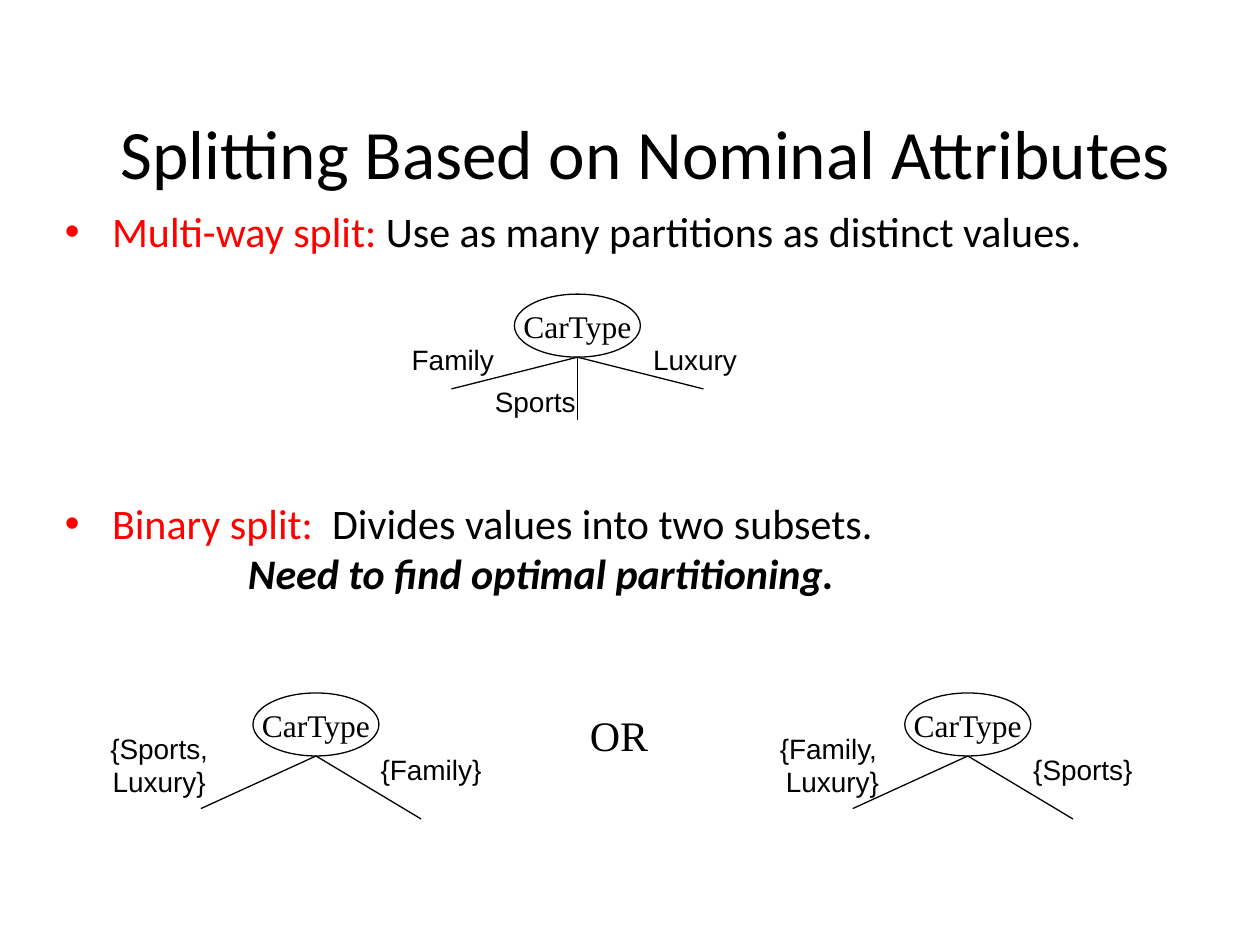
from pptx import Presentation
from pptx import util as u
from pptx.dml.color import RGBColor
from pptx.enum import shapes, text
from lxml import etree

COLORS = {"black": "000000", "red": "FF0000", "white": "FFFFFF"}
A = "{http://schemas.openxmlformats.org/drawingml/2006/main}"

prs = Presentation()
prs.slide_width, prs.slide_height = u.Cm(25.4), u.Cm(19.05)
s = prs.slides.add_slide(prs.slide_layouts[6])


def style(p, font, size, color="black"):
    for r in p.runs:
        r.font.name, r.font.size = font, u.Pt(size)
        r.font.color.rgb = RGBColor.from_string(COLORS[color])


def centered(sp, words, font, size, wrap=False):
    tf = sp.text_frame
    tf.text = words
    tf.word_wrap = wrap
    tf.vertical_anchor = text.MSO_ANCHOR.MIDDLE
    tf.paragraphs[0].alignment = text.PP_ALIGN.CENTER
    style(tf.paragraphs[0], font, size)


# Title
sp = s.shapes.add_textbox(u.Cm(1.06), u.Cm(2.33), u.Cm(23.92), u.Cm(1.48))
centered(sp, "Splitting Based on Nominal Attributes", "Calibri", 39.6, True)

# Bullets: term, explanation, space before in points
bullets = [
    ("Multi-way split:", " Use as many partitions as distinct values.", 0),
    ("Binary split:", "  Divides values into two subsets.", 138),
]
tf = s.shapes.add_textbox(u.Cm(1.06), u.Cm(4.02), u.Cm(23.28), u.Cm(10.37)).text_frame
tf.word_wrap = True
for i, (term, explanation, gap) in enumerate(bullets):
    p = tf.add_paragraph() if i else tf.paragraphs[0]
    p.text = term
    style(p, "Calibri", 24)
    p.add_run().text = explanation
    style(p, "Calibri", 24)
    p.runs[0].font.color.rgb = RGBColor.from_string(COLORS["red"])
    p.space_before = u.Pt(gap)
    pPr = p._p.get_or_add_pPr()
    pPr.set("marL", str(u.Cm(0.95)))
    pPr.set("indent", str(-u.Cm(0.95)))
    etree.SubElement(pPr, A + "buFont", typeface="Arial")
    etree.SubElement(pPr, A + "buChar", char="•")

# Remark under the second bullet
p = tf.add_paragraph()
p.text = "Need to find optimal partitioning."
style(p, "Calibri", 24)
p.runs[0].font.bold = p.runs[0].font.italic = True
p._p.get_or_add_pPr().set("marL", str(u.Cm(3.69)))

# Split trees: apex below the ellipse, branch ends and label centres relative to it
pair = [(-2.32, 1.06), (2.12, 1.27)]
trees = [
    (11.64, 7.2, [(-2.54, 0.64), (0, 1.27), (2.54, 0.64)],
     [("Family", -2.51, 0.05, 2.16, 0.94), ("Sports", -0.85, 0.89, 2.14, 0.94),
      ("Luxury", 2.37, 0.05, 2.2, 0.94)]),
    (19.51, 15.24, pair,
     [("{Family, \vLuxury}", -2.73, 0.18, 2.66, 1.63), ("{Sports}", 2.32, 0.27, 2.52, 0.94)]),
    (6.37, 15.24, pair,
     [("{Sports,\vLuxury}", -3.16, 0.18, 2.62, 1.63), ("{Family}", 2.32, 0.27, 2.54, 0.94)]),
]
for x, y, branches, labels in trees:
    tree = s.shapes.add_group_shape().shapes
    sp = tree.add_shape(shapes.MSO_SHAPE.OVAL, u.Cm(x - 1.27), u.Cm(y - 1.27), u.Cm(2.54), u.Cm(1.27))
    sp.shadow.inherit = False
    sp.fill.solid()
    sp.fill.fore_color.rgb = RGBColor.from_string(COLORS["white"])
    sp.line.color.rgb = RGBColor.from_string(COLORS["black"])
    sp.line.width = u.Pt(0.75)
    centered(sp, "CarType", "Times New Roman", 18)
    for dx, dy in branches:
        line = tree.add_connector(shapes.MSO_CONNECTOR.STRAIGHT, u.Cm(x), u.Cm(y), u.Cm(x + dx), u.Cm(y + dy))
        line.line.color.rgb = RGBColor.from_string(COLORS["black"])
        line.line.width = u.Pt(0.75)
        etree.SubElement(line._element.spPr, A + "effectLst")
    for words, dx, dy, w, h in labels:
        sp = tree.add_textbox(u.Cm(x + dx - w / 2), u.Cm(y + dy - h / 2), u.Cm(w), u.Cm(h))
        centered(sp, words, "Arial", 16)

# Alternative between the two binary splits
sp = s.shapes.add_textbox(u.Cm(11.64), u.Cm(14.18), u.Cm(1.68), u.Cm(1.27))
centered(sp, "OR", "Times New Roman", 24)

prs.save("out.pptx")
